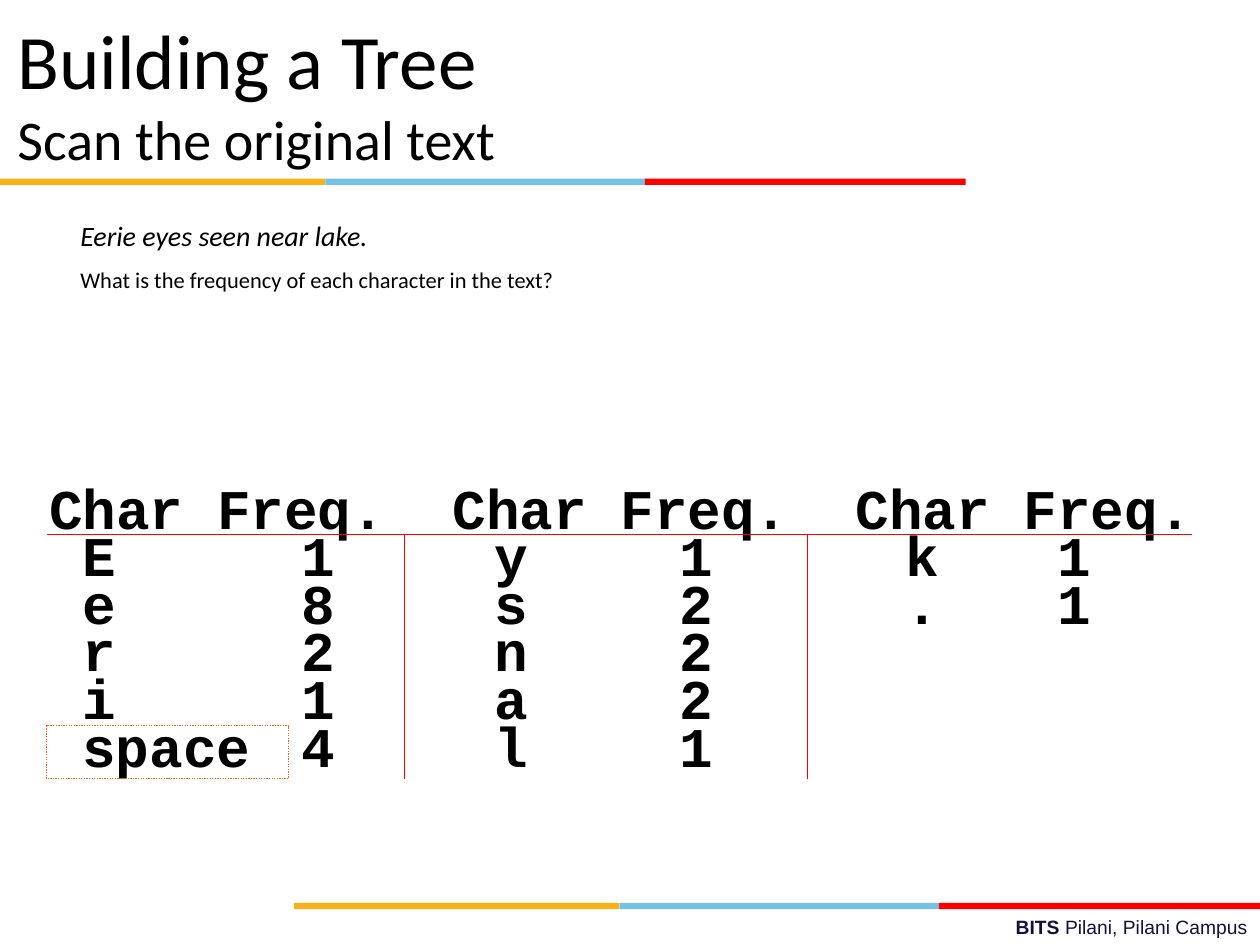
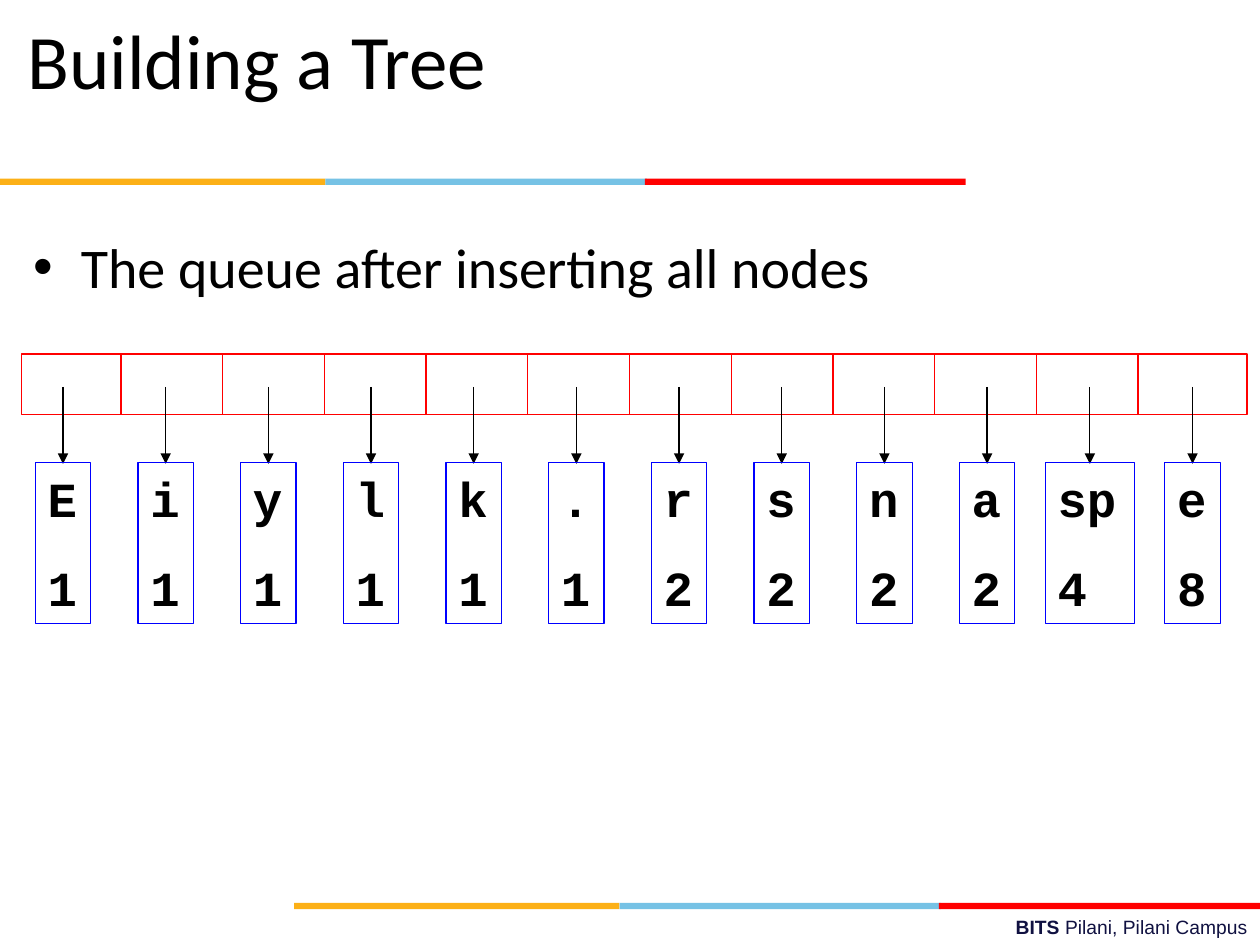
from dataclasses import dataclass

from lxml import etree
from pptx import Presentation
from pptx.dml.color import RGBColor
from pptx.enum.dml import MSO_LINE
from pptx.enum.shapes import MSO_CONNECTOR, MSO_SHAPE
from pptx.enum.text import MSO_ANCHOR, PP_ALIGN
from pptx.oxml.ns import qn
from pptx.util import Cm, Pt

RECTANGLE = MSO_SHAPE.RECTANGLE
STRAIGHT = MSO_CONNECTOR.STRAIGHT
DOTTED = MSO_LINE.ROUND_DOT
TOP = MSO_ANCHOR.TOP
LEFT, RIGHT = PP_ALIGN.LEFT, PP_ALIGN.RIGHT
PLAIN_TABLE = "{2D5ABB26-0587-4C30-8999-92F81FD0307C}"


@dataclass(frozen=True)
class Theme:
    amber: str = "FCB017"
    sky: str = "76C2E5"
    red: str = "FF0000"
    orange: str = "FF6600"
    blue: str = "0000FF"
    black: str = "000000"
    navy: str = "101141"
    white: str = "FFFFFF"
    sans: str = "Calibri"
    mono: str = "Courier New"
    footer_font: str = "Arial"
    title: float = 44
    heading: float = 32
    node: float = 28
    sample: float = 16
    question: float = 12.8
    footer: float = 11
    hairline: float = 0.75


theme = Theme()


def write(frame, text, size=theme.heading, font=theme.sans, color=theme.black,
          bold=False, italic=False, align=LEFT, before=0, line=None,
          bullet=None, same_line=False):
    """Add text to the frame, in its own paragraph unless same_line is set."""
    frame.word_wrap = True
    frame.vertical_anchor = TOP
    paragraph = frame.paragraphs[-1]
    if paragraph.runs and not same_line:
        paragraph = frame.add_paragraph()
    paragraph.alignment = align
    paragraph.space_before = Pt(before)
    if line:
        paragraph.line_spacing = Pt(line)
    if bullet:
        properties = paragraph._p.get_or_add_pPr()
        properties.set("marL", str(Cm(0.95)))
        properties.set("indent", str(-Cm(0.95)))
        etree.SubElement(properties, qn("a:buFont")).set("typeface", "Arial")
        etree.SubElement(properties, qn("a:buChar")).set("char", bullet)
    run = paragraph.add_run()
    run.text = text
    run.font.name, run.font.size = font, Pt(size)
    run.font.bold, run.font.italic = bold, italic
    run.font.color.rgb = RGBColor.from_string(color)


def draw(slide, x, y, width, height, fill=None, outline=None, line=False, arrow=False):
    """Draw a rectangle, or a straight line spanning the same extent."""
    if line:
        item = slide.shapes.add_connector(
            STRAIGHT, Cm(x), Cm(y), Cm(x + width), Cm(y + height))
        etree.SubElement(item._element.spPr, qn("a:effectLst"))
    else:
        item = slide.shapes.add_shape(RECTANGLE, Cm(x), Cm(y), Cm(width), Cm(height))
        item.shadow.inherit = False
        if fill:
            item.fill.solid()
            item.fill.fore_color.rgb = RGBColor.from_string(fill)
        else:
            item.fill.background()
    if outline:
        item.line.color.rgb = RGBColor.from_string(outline)
        item.line.width = Pt(theme.hairline)
    else:
        item.line.fill.background()
    if arrow:
        etree.SubElement(item.line._get_or_add_ln(), qn("a:tailEnd")).set("type", "triangle")
    return item


deck = Presentation()
deck.slide_width, deck.slide_height = Cm(25.4), Cm(19.05)
blank = deck.slide_layouts[6]
scan_slide = deck.slides.add_slide(blank)
queue_slide = deck.slides.add_slide(blank)

# Shared bands, footer and title
for slide, title_left in ((scan_slide, 0.1), (queue_slide, 0.3)):
    for band_left, band_top in ((0, 3.6), (5.93, 18.2)):
        for offset, width, color in ((0, 6.56, theme.amber), (6.56, 6.48, theme.sky),
                                     (13, 6.47, theme.red)):
            draw(slide, band_left + offset, band_top, width, 0.13, fill=color)
    footer = slide.shapes.add_textbox(Cm(9.1), Cm(18.32), Cm(16.3), Cm(0.73)).text_frame
    footer_style = dict(size=theme.footer, font=theme.footer_font,
                        color=theme.navy, align=RIGHT)
    write(footer, "BITS ", bold=True, **footer_style)
    write(footer, "Pilani, Pilani Campus", same_line=True, **footer_style)
    title = slide.shapes.add_textbox(
        Cm(title_left), Cm(0.13), Cm(22.86), Cm(3.18)).text_frame
    write(title, "Building a Tree", size=theme.title)
    if slide is scan_slide:
        write(title, "Scan the original text")

# Slide 1: sample text and question
sample = scan_slide.shapes.add_textbox(Cm(1.37), Cm(4.29), Cm(23.34), Cm(1.9)).text_frame
write(sample, "Eerie eyes seen near lake.", size=theme.sample, italic=True)
write(sample, "What is the frequency of each character in the text?",
      size=theme.question, before=8)

# Slide 1: frequency table, three Char/Freq. groups side by side
# Each group: width of the Char column, insets of characters and counts, entries
groups = (
    (4.32, 0.67, 0.76, (("E", 1), ("e", 8), ("r", 2), ("i", 1), ("space", 4))),
    (3.81, 0.85, 0.76, (("y", 1), ("s", 2), ("n", 2), ("a", 2), ("l", 1))),
    (3.81, 1, 0.25, (("k", 1), (".", 1))),
)
GROUP_WIDTH, ROW_HEIGHT, ROWS = 8.13, 0.96, 6
frequencies = scan_slide.shapes.add_table(
    ROWS, 2 * len(groups), Cm(0.99), Cm(10.05),
    Cm(GROUP_WIDTH * len(groups)), Cm(ROW_HEIGHT * ROWS)).table
frequencies.first_row = frequencies.horz_banding = False
frequencies._tbl.tblPr.find(qn("a:tableStyleId")).text = PLAIN_TABLE
for row in frequencies.rows:
    row.height = Cm(ROW_HEIGHT)
for cell in frequencies.iter_cells():
    cell.margin_left = cell.margin_right = cell.margin_top = cell.margin_bottom = 0
    # Tall letters reach past their row, so cells have neither borders nor fill
    for side in ("a:lnL", "a:lnR", "a:lnT", "a:lnB"):
        border = etree.SubElement(cell._tc.get_or_add_tcPr(), qn(side))
        border.set("w", "0")
        etree.SubElement(border, qn("a:noFill"))
    cell.fill.background()
table_style = dict(font=theme.mono, bold=True, line=27)
for group, (char_width, char_inset, count_inset, entries) in enumerate(groups):
    first = 2 * group
    frequencies.columns[first].width = Cm(char_width)
    frequencies.columns[first + 1].width = Cm(GROUP_WIDTH - char_width)
    header = frequencies.cell(0, first)
    header.merge(frequencies.cell(0, first + 1))
    write(header.text_frame, "Char Freq.", **table_style)
    for row, entry in enumerate(entries, start=1):
        for column, (value, inset) in enumerate(zip(entry, (char_inset, count_inset))):
            cell = frequencies.cell(row, first + column)
            cell.margin_left = Cm(inset)
            write(cell.text_frame, str(value), **table_style)

# Slide 1: table rules and the highlighted space character
draw(scan_slide, 0.94, 10.77, 23.09, 0, outline=theme.red, line=True)
for rule in (1, 2):
    draw(scan_slide, 0.02 + rule * GROUP_WIDTH, 10.77, 0, 4.93, outline=theme.red, line=True)
highlight = draw(scan_slide, 0.94, 14.63, 4.88, 1.07, outline=theme.orange)
highlight.line.dash_style = DOTTED

# Slide 2: statement
statement = queue_slide.shapes.add_textbox(
    Cm(0.43), Cm(4.56), Cm(24.97), Cm(1.8)).text_frame
write(statement, "The queue after inserting all nodes", bullet="•")

# Slide 2: queue slots, each pointing to its node
nodes = (("E", 1), ("i", 1), ("y", 1), ("l", 1), ("k", 1), (".", 1),
         ("r", 2), ("s", 2), ("n", 2), ("a", 2), ("sp", 4), ("e", 8))
draw(queue_slide, 0.43, 7.14, 24.71, 1.22, fill=theme.white, outline=theme.red)
for divider in range(len(nodes) - 1):
    draw(queue_slide, 2.44 + 2.05 * divider, 7.14, 0, 1.22, outline=theme.red, line=True)
for index, (character, count) in enumerate(nodes):
    center = 1.27 + 2.07 * index
    draw(queue_slide, center, 7.8, 0, 1.55, outline=theme.black, line=True, arrow=True)
    width = 1.12 if len(character) == 1 else 1.8
    node = draw(queue_slide, center - width / 2, 9.32, width, 3.25, outline=theme.blue)
    node_style = dict(size=theme.node, font=theme.mono, bold=True)
    write(node.text_frame, character, **node_style)
    write(node.text_frame, str(count), before=17.5, **node_style)

deck.save("out.pptx")
